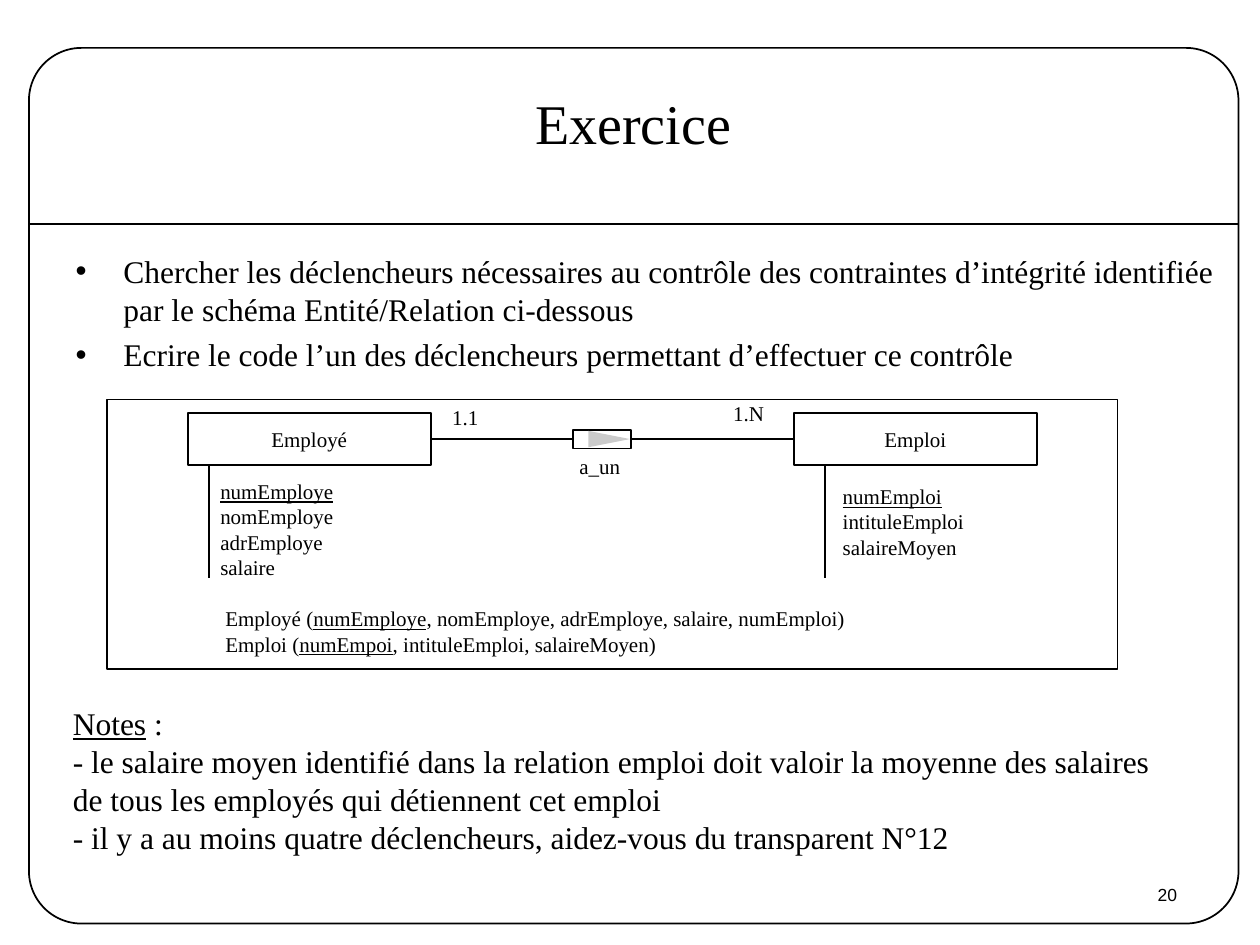
from lxml import etree
from pptx import Presentation
from pptx.dml.color import RGBColor
from pptx.enum.shapes import MSO_CONNECTOR, MSO_SHAPE
from pptx.enum.text import MSO_ANCHOR, MSO_AUTO_SIZE, PP_ALIGN
from pptx.oxml.ns import qn
from pptx.util import Inches, Pt

STRAIGHT = MSO_CONNECTOR.STRAIGHT
RECT, ROUNDED, TRIANGLE = MSO_SHAPE.RECTANGLE, MSO_SHAPE.ROUNDED_RECTANGLE, MSO_SHAPE.ISOSCELES_TRIANGLE
TOP, MIDDLE = MSO_ANCHOR.TOP, MSO_ANCHOR.MIDDLE
LEFT, CENTER = PP_ALIGN.LEFT, PP_ALIGN.CENTER
NO_FIT = MSO_AUTO_SIZE.NONE

SERIF = "Times New Roman"
BLACK, WHITE, GREY = "000000", "FFFFFF", "CBCBCB"
COLUMNS, ROWS = 100, 75
CELL = Inches(10) // COLUMNS
RIGHT_SIDE, LEFT_SIDE = 3, 1


def cells(*lengths):
    return [round(length * CELL) for length in lengths]


def color(hex_code):
    return RGBColor.from_string(hex_code)


def write(frame, lines, size, font=SERIF, align=LEFT, anchor=TOP, wrap=True):
    """Fill a text frame; words between asterisks are underlined."""
    frame.word_wrap = wrap
    frame.auto_size = NO_FIT
    frame.vertical_anchor = anchor
    for i, line in enumerate(lines):
        paragraph = frame.paragraphs[0] if i == 0 else frame.add_paragraph()
        paragraph.alignment = align
        for part, words in enumerate(line.split("*")):
            if not words:
                continue
            run = paragraph.add_run()
            run.text = words
            run.font.name, run.font.size = font, Pt(size)
            run.font.color.rgb = color(BLACK)
            if part % 2:
                run.font.underline = True


def add_text(slide, box, lines, size=12, font=SERIF, wrap=False):
    write(slide.shapes.add_textbox(*cells(*box)).text_frame, lines, size, font, wrap=wrap)


def add_outline(slide, kind, box, fill=None, line=BLACK):
    shape = slide.shapes.add_shape(kind, *cells(*box))
    shape.shadow.inherit = False
    if fill:
        shape.fill.solid()
        shape.fill.fore_color.rgb = color(fill)
    else:
        shape.fill.background()
    if line:
        shape.line.color.rgb = color(line)
        shape.line.width = Pt(1)
    else:
        shape.line.fill.background()
    return shape


def add_line(slide, x1, y1, x2, y2):
    line = slide.shapes.add_connector(STRAIGHT, *cells(x1, y1, x2, y2))
    line.line.color.rgb = color(BLACK)
    line.line.width = Pt(1)
    etree.SubElement(line._element.spPr, qn("a:effectLst"))
    return line


def place(placeholder, box):
    placeholder.left, placeholder.top, placeholder.width, placeholder.height = cells(*box)
    return placeholder.text_frame


def page_frame(slide, box, number):
    x, y, w, h = box
    add_outline(slide, ROUNDED, box).adjustments[0] = 0.06
    add_line(slide, x, y + 14, x + w, y + 14)
    add_text(slide, (x + w - 7.4, y + h - 3.6, 8.3, 2.7), [number], 10, "Arial")


def heading(slide, box, title):
    write(place(slide.shapes.title, box), [title], 32, align=CENTER, anchor=MIDDLE)


def instructions(slide, box, items):
    frame = place(slide.placeholders[1], box)
    write(frame, items, 18)
    for i, paragraph in enumerate(frame.paragraphs):
        paragraph.space_before = Pt(4.5 if i else 0)
        properties = paragraph._p.get_or_add_pPr()
        properties.set("marL", str(Inches(0.38)))
        properties.set("indent", str(-Inches(0.38)))
        etree.SubElement(properties, qn("a:buChar"), char="•")


def entity(slide, box, name, attributes, stem, list_offset):
    """Draw an entity with its attributes beside a vertical stem."""
    x, y, w, h = box
    rectangle = add_outline(slide, RECT, box)
    write(rectangle.text_frame, [name], 12, align=CENTER, anchor=MIDDLE, wrap=False)
    add_line(slide, x + stem, y + h, x + stem, y + h + 9)
    dx, dy = list_offset
    add_text(slide, (x + dx, y + dy, 11.4, 1 + 2 * len(attributes)), attributes)
    return rectangle


def relation(slide, box, name):
    x, y, w, h = box
    add_outline(slide, RECT, box, fill=WHITE)
    long_side, short_side = 3.3, 1.3
    arrow_x, arrow_y = x + w - long_side / 2 - 0.1, y + h / 2
    arrow = add_outline(slide, TRIANGLE, (arrow_x - short_side / 2, arrow_y - long_side / 2,
                                          short_side, long_side), GREY, None)
    arrow.rotation = 90
    add_text(slide, (x - 0.5, y + 1.4, 5.3, 3), [name])


def entity_diagram(slide, box):
    x, y, w, h = box
    add_outline(slide, RECT, box)
    employee = entity(slide, (x + 6.4, y + 1.1, 19.3, 4.1), "Employé",
                      ["*numEmploye*", "nomEmploye", "adrEmploye", "salaire"], 1.7, (1.6, 4.7))
    job = entity(slide, (x + 54.5, y + 1.1, 19.3, 4.1), "Emploi",
                 ["*numEmploi*", "intituleEmploi", "salaireMoyen"], 2.5, (2.9, 5.1))
    link = add_line(slide, x + 25.7, y + 3.2, x + 54.5, y + 3.2)
    link.begin_connect(employee, RIGHT_SIDE)
    link.end_connect(job, LEFT_SIDE)
    add_text(slide, (x + 26.4, y - 0.1, 4.1, 3), ["1.1"])
    add_text(slide, (x + 48.7, y - 0.4, 4.5, 3), ["1.N"])
    relation(slide, (x + 37, y + 2.4, 4.6, 1.5), "a_un")
    add_text(slide, (x + 8.4, y + 15.9, 51.2, 5), [
        "Employé (*numEmploye*, nomEmploye, adrEmploye, salaire, numEmploi)",
        "Emploi (*numEmpoi*, intituleEmploi, salaireMoyen)"])


def main():
    deck = Presentation()
    deck.slide_width, deck.slide_height = cells(COLUMNS, ROWS)
    slide = deck.slides.add_slide(deck.slide_layouts[1])
    page_frame(slide, (2.3, 3.8, 96, 69.5), "20")
    heading(slide, (4, 4.2, 92.5, 10.9), "Exercice")
    instructions(slide, (5, 19.5, 92.5, 13.1), [
        "Chercher les déclencheurs nécessaires au contrôle des contraintes d’intégrité identifiée "
        "par le schéma Entité/Relation ci-dessous",
        "Ecrire le code l’un des déclencheurs permettant d’effectuer ce contrôle"])
    entity_diagram(slide, (8.5, 31.7, 80.2, 21.4))
    add_text(slide, (4.8, 55.4, 88.7, 13), [
        "*Notes* :",
        "- le salaire moyen identifié dans la relation emploi doit valoir la moyenne des salaires "
        "de tous les employés qui détiennent cet emploi",
        "- il y a au moins quatre déclencheurs, aidez-vous du transparent N°12"], 18, wrap=True)
    deck.save("out.pptx")


if __name__ == "__main__":
    main()
